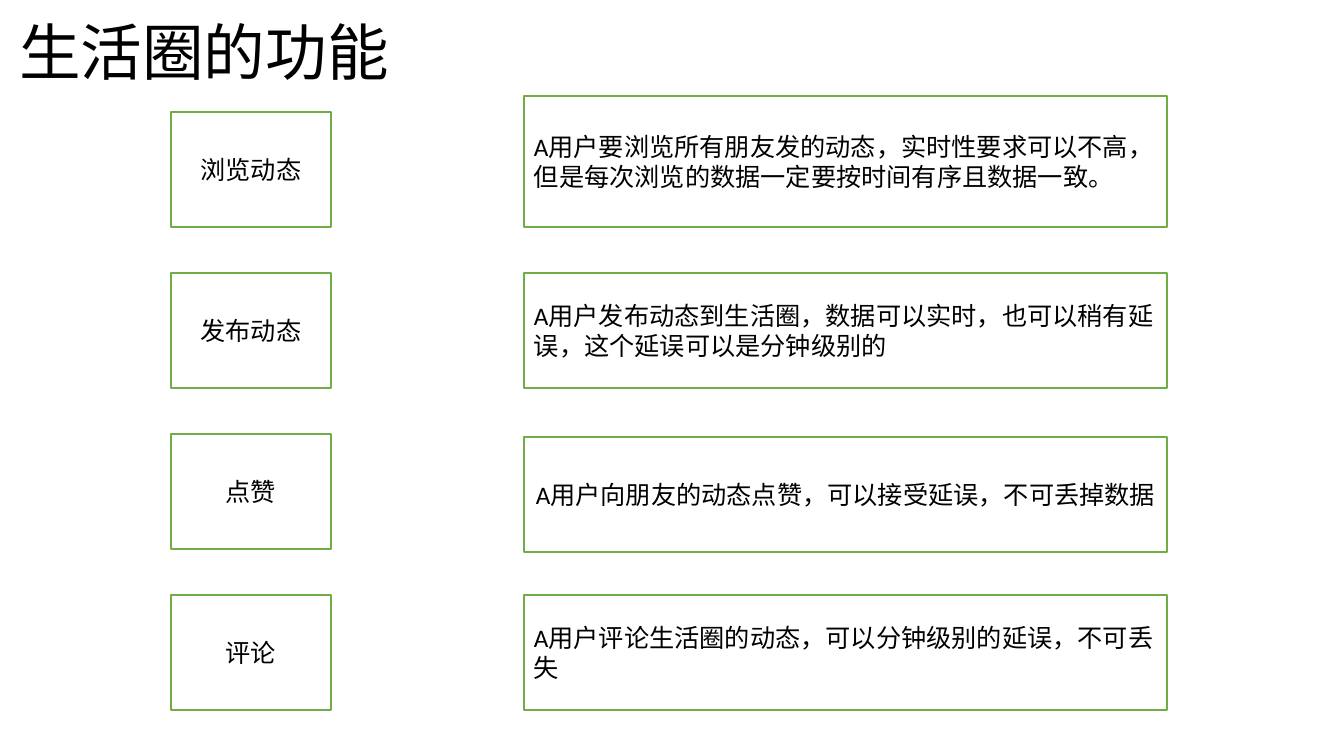
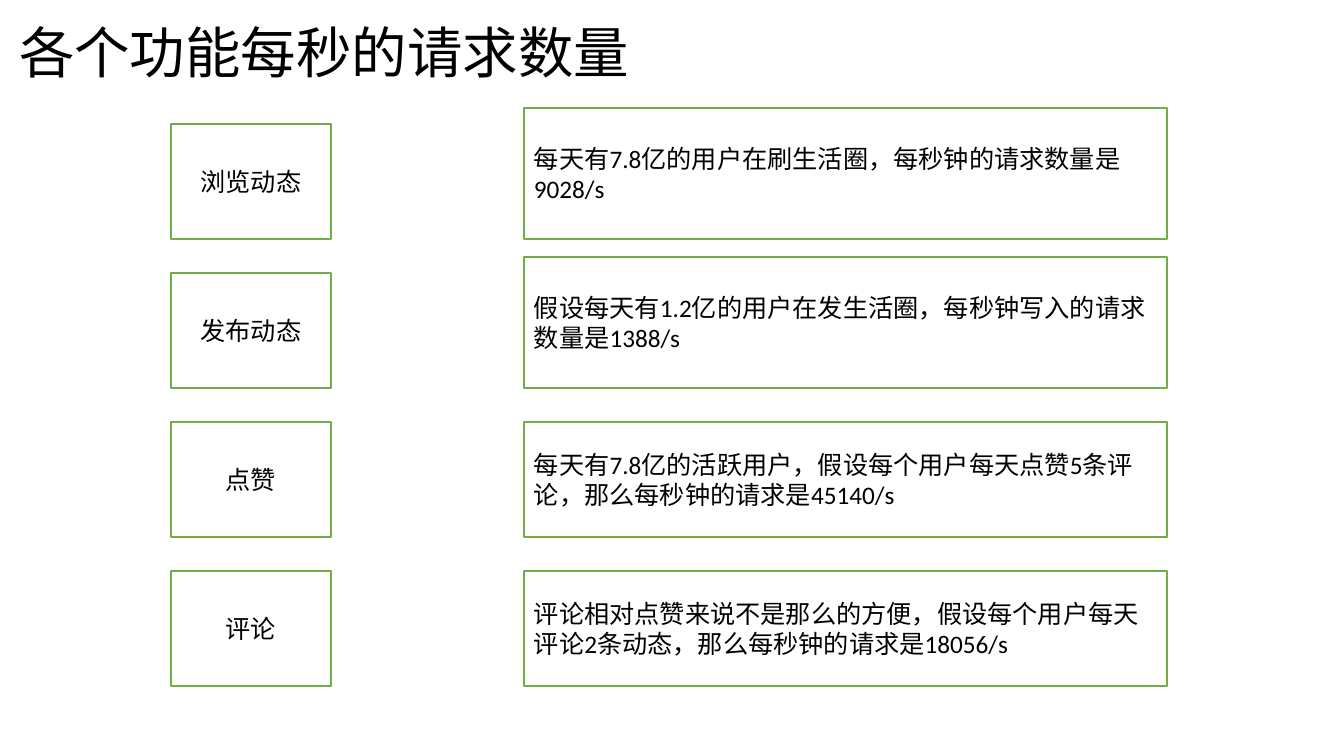
"""Build two slides on the functions of a social feed and their request rates."""
from dataclasses import dataclass

from pptx import Presentation
from pptx.dml.color import RGBColor as RGB
from pptx.enum.shapes import MSO_SHAPE as Shape
from pptx.enum.text import MSO_ANCHOR as Anchor, MSO_AUTO_SIZE as AutoSize, PP_ALIGN as Align
from pptx.util import Emu, Pt

LABELS = ("浏览动态", "发布动态", "点赞", "评论")
SLIDES = (
    {
        "title": "生活圈的功能", "title_box": (9, 13, 594, 85), "title_size": 44,
        "top": 112, "step": 161, "tall": {0}, "centred": {2}, "shift": {2: 3},
        "details": (
            "A用户要浏览所有朋友发的动态，实时性要求可以不高，但是每次浏览的数据一定要按时间有序且数据一致。",
            "A用户发布动态到生活圈，数据可以实时，也可以稍有延误，这个延误可以是分钟级别的",
            "A用户向朋友的动态点赞，可以接受延误，不可丢掉数据",
            "A用户评论生活圈的动态，可以分钟级别的延误，不可丢失",
        ),
    },
    {
        "title": "各个功能每秒的请求数量", "title_box": (9, 13, 689, 86), "title_size": 39.6,
        "top": 124, "step": 149, "tall": {0, 1}, "centred": set(), "shift": {},
        "details": (
            "每天有7.8亿的用户在刷生活圈，每秒钟的请求数量是9028/s",
            "假设每天有1.2亿的用户在发生活圈，每秒钟写入的请求数量是1388/s",
            "每天有7.8亿的活跃用户，假设每个用户每天点赞5条评论，那么每秒钟的请求是45140/s",
            "评论相对点赞来说不是那么的方便，假设每个用户每天评论2条动态，那么每秒钟的请求是18056/s",
        ),
    },
)
SLIDE_W, SLIDE_H = 1344, 756
LABEL_X, LABEL_W = 171, 160
DETAIL_X, DETAIL_W = 524, 643
BOX_H, TALL_H = 115, 131


@dataclass(frozen=True)
class Theme:
    font: str = "Calibri"
    body: float = 18
    line_width: float = 1
    text: RGB = RGB(0, 0, 0)
    fill: RGB = RGB(255, 255, 255)
    line: RGB = RGB(0x70, 0xAD, 0x47)


T = Theme()


def px(n):
    return Emu(round(n * 914400 / 100.8))


def write(shape, text, size, align):
    tf = shape.text_frame
    tf.word_wrap = True
    tf.auto_size = AutoSize.NONE
    tf.vertical_anchor = Anchor.MIDDLE
    p = tf.paragraphs[0]
    p.alignment = align
    r = p.add_run()
    r.text = text
    r.font.name, r.font.size = T.font, Pt(size)
    r.font.color.rgb = T.text
    return p


def add_title(s, text, box, size):
    title = s.shapes.title
    title.left, title.top, title.width, title.height = map(px, box)
    write(title, text, size, Align.LEFT).line_spacing = 0.9


def add_box(s, text, box, align):
    sp = s.shapes.add_shape(Shape.RECTANGLE, *map(px, box))
    sp.shadow.inherit = False
    sp.fill.solid()
    sp.fill.fore_color.rgb = T.fill
    sp.line.color.rgb = T.line
    sp.line.width = Pt(T.line_width)
    write(sp, text, T.body, align)


def build_slide(prs, data):
    s = prs.slides.add_slide(prs.slide_layouts[5])
    add_title(s, data["title"], data["title_box"], data["title_size"])
    for i, (label, detail) in enumerate(zip(LABELS, data["details"])):
        y = data["top"] + i * data["step"]
        h = TALL_H if i in data["tall"] else BOX_H
        detail_y = y + BOX_H - h + data["shift"].get(i, 0)
        align = Align.CENTER if i in data["centred"] else Align.LEFT
        add_box(s, label, (LABEL_X, y, LABEL_W, BOX_H), Align.CENTER)
        add_box(s, detail, (DETAIL_X, detail_y, DETAIL_W, h), align)


prs = Presentation()
prs.slide_width, prs.slide_height = px(SLIDE_W), px(SLIDE_H)
for data in SLIDES:
    build_slide(prs, data)
prs.save("out.pptx")
